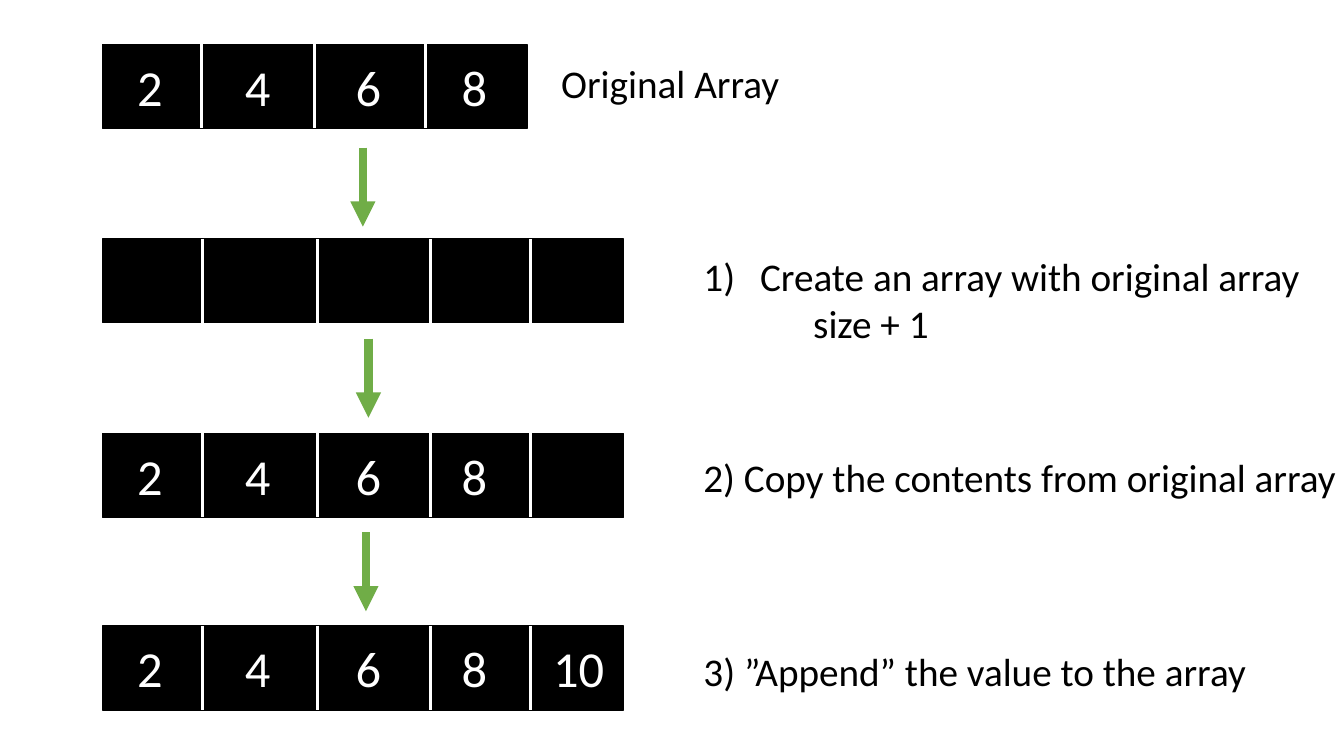
from pptx import Presentation
from pptx.dml.color import RGBColor
from pptx.enum.shapes import MSO_CONNECTOR, MSO_SHAPE
from pptx.enum.text import MSO_ANCHOR
from pptx.oxml.ns import qn
from pptx.util import Pt
from lxml.etree import SubElement

COLORS = {"cell": "000000", "divider": "FFFFFF", "digit": "FFFFFF",
          "label": "000000", "arrow": "70AD47"}
FONT = "Calibri"

# Each array: top, bar width, divider positions, values
SHORT_DIVIDERS = [144, 224.6, 303.8]
LONG_DIVIDERS = [144.7, 226.8, 307.4, 378.7]
ARRAYS = [
    (31.7, 303, SHORT_DIVIDERS, ["2", "4", "6", "8"]),
    (170.6, 372, LONG_DIVIDERS, []),
    (309.6, 372, LONG_DIVIDERS, ["2", "4", "6", "8"]),
    (447.1, 372, LONG_DIVIDERS, ["2", "4", "6", "8", "10"]),
]
# Each label: left, top, width, height, paragraphs
LABELS = [
    (393.8, 38.9, 171.4, 41, ["Original Array"]),
    (495.4, 176.4, 444.2, 75, ["Create an array with original array", "size + 1"]),
    (495.4, 320.4, 470.9, 41, ["2) Copy the contents from original array"]),
    (495.4, 458.6, 406.8, 41, ["3) ”Append” the value to the array"]),
]
ARROWS = [(259.2, 105.4), (263.2, 241.9), (261.4, 380.2)]

BAR_LEFT, BAR_HEIGHT = 73.4, 60
DIGIT_LEFTS = [90.9, 167.9, 247, 322.7, 388.1]
DIGIT_OFFSET, DIGIT_HEIGHT = 4.5, 51
ARROW_LENGTH = 56.5

deck = Presentation()
deck.slide_width, deck.slide_height = Pt(960), Pt(540)
page = deck.slides.add_slide(deck.slide_layouts[6])


def color(name):
    return RGBColor.from_string(COLORS[name])


def add_line(x, top, length, name, weight):
    line = page.shapes.add_connector(
        MSO_CONNECTOR.STRAIGHT, Pt(x), Pt(top), Pt(x), Pt(top + length))
    line.line.color.rgb = color(name)
    line.line.width = Pt(weight)
    SubElement(line._element.spPr, qn("a:effectLst"))
    return line


def add_text(left, top, width, height, lines, size, name, wrap):
    box = page.shapes.add_textbox(Pt(left), Pt(top), Pt(width), Pt(height))
    frame = box.text_frame
    frame.text = "\n".join(lines)
    frame.word_wrap = wrap
    frame.vertical_anchor = MSO_ANCHOR.TOP
    for para in frame.paragraphs:
        for span in para.runs:
            span.font.name, span.font.size = FONT, Pt(size)
            span.font.color.rgb = color(name)
    return box


def set_indent(para, margin, indent):
    props = para._p.get_or_add_pPr()
    props.set("marL", str(Pt(margin)))
    props.set("indent", str(Pt(indent)))
    return props


# Arrays with their dividers and values
for top, width, dividers, values in ARRAYS:
    bar = page.shapes.add_shape(MSO_SHAPE.RECTANGLE, Pt(BAR_LEFT), Pt(top),
                                Pt(width), Pt(BAR_HEIGHT))
    bar.shadow.inherit = False
    bar.fill.solid()
    bar.fill.fore_color.rgb = bar.line.color.rgb = color("cell")
    bar.line.width = Pt(1)
    for x in dividers:
        add_line(x, top, BAR_HEIGHT, "divider", 2.25)
    for left, value in zip(DIGIT_LEFTS, values):
        add_text(left, top + DIGIT_OFFSET, 19.5 + 15.8 * len(value),
                 DIGIT_HEIGHT, [value], 36, "digit", True)

# Arrows between the arrays
for x, top in ARROWS:
    arrow = add_line(x, top, ARROW_LENGTH, "arrow", 6)
    SubElement(arrow.line._get_or_add_ln(), qn("a:tailEnd"), type="triangle")

# Labels, the first step being numbered
labels = [add_text(*label, 28, "label", False) for label in LABELS]
first, second = labels[1].text_frame.paragraphs
numbered = set_indent(first, 40.5, -40.5)
SubElement(numbered, qn("a:buFont"), typeface=FONT)
SubElement(numbered, qn("a:buAutoNum"), type="arabicParenR")
set_indent(second, 78.4, 0)

deck.save("out.pptx")
